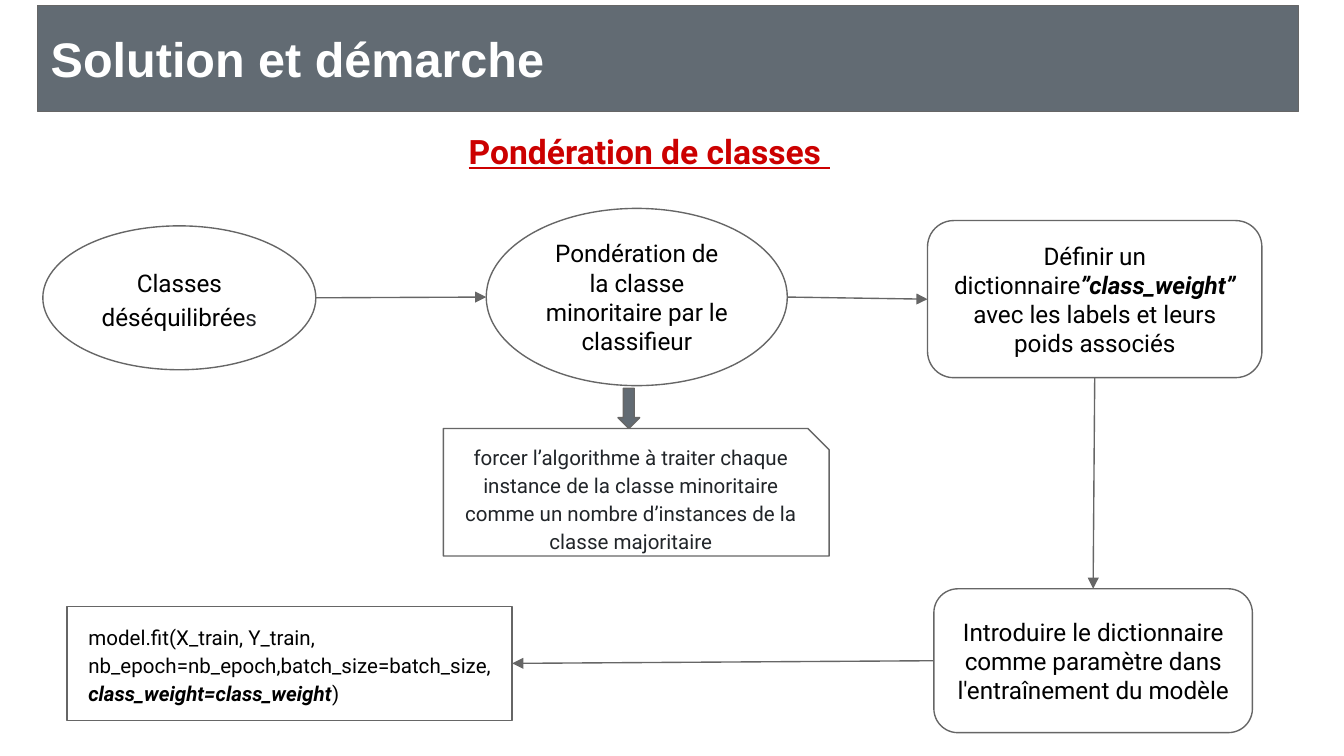
from lxml import etree
from pptx import Presentation
from pptx.dml.color import RGBColor
from pptx.enum.shapes import MSO_CONNECTOR, MSO_SHAPE
from pptx.enum.text import MSO_ANCHOR, PP_ALIGN
from pptx.oxml.ns import qn
from pptx.util import Cm, Pt

STRAIGHT = MSO_CONNECTOR.STRAIGHT
RECT, ROUNDED = MSO_SHAPE.RECTANGLE, MSO_SHAPE.ROUNDED_RECTANGLE
ELLIPSE, SNIPPED = MSO_SHAPE.OVAL, MSO_SHAPE.SNIP_1_RECTANGLE
DOWN_ARROW = MSO_SHAPE.DOWN_ARROW
LEFT, CENTER = PP_ALIGN.LEFT, PP_ALIGN.CENTER
TOP, MIDDLE = MSO_ANCHOR.TOP, MSO_ANCHOR.MIDDLE
TOP_SIDE, LEFT_SIDE, BOTTOM_SIDE, RIGHT_SIDE = range(4)

SLATE, GREY, RED = "626B73", "666666", "CC0000"
WHITE, BLACK, DARK, INK = "FFFFFF", "000000", "212529", "202124"
STRONG = {"bold": True, "italic": True}


def color(value):
    return RGBColor.from_string(value)


def write(shape, paragraphs, size, text_color=BLACK, font="Roboto",
          align=CENTER, anchor=MIDDLE, spacing=1.0, indent=0):
    """Fill the shape with paragraphs, each a list of (text, format values)."""
    frame = shape.text_frame
    frame.word_wrap = True
    frame.vertical_anchor = anchor
    for side in ("left", "top", "right", "bottom"):
        setattr(frame, f"margin_{side}", Cm(0.25))
    for number, runs in enumerate(paragraphs):
        paragraph = frame.add_paragraph() if number else frame.paragraphs[0]
        paragraph.alignment = align
        paragraph.line_spacing = spacing
        if indent:
            paragraph._p.get_or_add_pPr().set("marL", str(Cm(indent)))
        for text, changes in runs:
            run = paragraph.add_run()
            run.text = text
            values = {"name": font, "size": Pt(size), "color": text_color, **changes}
            run.font.color.rgb = color(values.pop("color"))
            for key, value in values.items():
                setattr(run.font, key, value)


def add_box(slide, kind, box, fill=None):
    shape = slide.shapes.add_shape(kind, *map(Cm, box))
    shape.shadow.inherit = False
    if fill:
        shape.fill.solid()
        shape.fill.fore_color.rgb = color(fill)
    else:
        shape.fill.background()
    shape.line.color.rgb = color(GREY)
    shape.line.width = Pt(0.75)
    return shape


def side_middle(shape, side):
    x, y = shape.left + shape.width // 2, shape.top + shape.height // 2
    return {
        TOP_SIDE: (x, shape.top),
        LEFT_SIDE: (shape.left, y),
        BOTTOM_SIDE: (x, shape.top + shape.height),
        RIGHT_SIDE: (shape.left + shape.width, y),
    }[side]


def add_arrow(slide, source, source_side, target, target_side):
    """Join two side middles; ellipses number their sites differently, so stay unglued."""
    arrow = slide.shapes.add_connector(
        STRAIGHT, *side_middle(source, source_side), *side_middle(target, target_side))
    if source.auto_shape_type != ELLIPSE:
        arrow.begin_connect(source, source_side)
    if target.auto_shape_type != ELLIPSE:
        arrow.end_connect(target, target_side)
    arrow.line.color.rgb = color(GREY)
    arrow.line.width = Pt(0.75)
    etree.SubElement(arrow.line._get_or_add_ln(), qn("a:tailEnd"), type="triangle")
    etree.SubElement(arrow._element.spPr, qn("a:effectLst"))


def add_header(slide, box):
    header = add_box(slide, RECT, box, SLATE)
    write(header, [[("Solution et démarche", {"bold": True})]], 26, WHITE, "Arial", LEFT)


def add_subtitle(slide, box):
    subtitle = slide.shapes.add_textbox(*map(Cm, box))
    write(subtitle, [[("Pondération de classes ", {"bold": True, "underline": True})]],
          18, RED, anchor=TOP, spacing=1.15)


def add_flow(slide, box):
    """Draw the steps and their arrows, placed from the box's top left corner."""
    left, top, width, height = box
    right, bottom = left + width, top + height

    classes = add_box(slide, ELLIPSE, (left, top + 0.33, 5.16, 2.72))
    write(classes, [[("Classes déséquilibrée", {}),
                     ("s", {"size": Pt(12), "color": INK})]], 13, spacing=1.15)

    weighting = add_box(slide, ELLIPSE, (left + 8.38, top, 5.69, 3.35))
    write(weighting, [[("Pondération de la classe minoritaire par le classifieur", {})]], 13)

    dictionary = add_box(slide, ROUNDED, (right - 6.32, top + 0.23, 6.32, 2.97))
    write(dictionary, [[("Définir un dictionnaire", {}), ("”class_weight” ", STRONG),
                        ("avec les labels et leurs poids associés", {})]], 13)

    training = add_box(slide, ROUNDED, (right - 6.2, bottom - 2.72, 6.02, 2.72))
    write(training, [[("Introduire le dictionnaire comme paramètre dans "
                       "l'entraînement du modèle", {})]], 13)

    fit_call = add_box(slide, RECT, (left + 0.46, bottom - 2.39, 8.41, 2.16))
    write(fit_call, [
        [("model.fit(X_train, Y_train, nb_epoch=nb_epoch,batch_size=batch_size,", {})],
        [("class_weight=class_weight", STRONG), (")", {})],
    ], 11, align=LEFT, spacing=1.15, indent=0.15)

    explanation = add_box(slide, SNIPPED, (left + 7.57, top + 4.16, 7.29, 2.41))
    write(explanation, [[("forcer l’algorithme à traiter chaque instance de la classe "
                          "minoritaire comme un nombre d’instances de la classe "
                          "majoritaire", {})]], 11, DARK, spacing=1.15)

    add_arrow(slide, classes, RIGHT_SIDE, weighting, LEFT_SIDE)
    add_arrow(slide, weighting, RIGHT_SIDE, dictionary, LEFT_SIDE)
    add_arrow(slide, dictionary, BOTTOM_SIDE, training, TOP_SIDE)
    add_arrow(slide, training, LEFT_SIDE, fit_call, RIGHT_SIDE)
    add_box(slide, DOWN_ARROW, (left + 10.87, top + 3.4, 0.41, 0.76), SLATE)


def main():
    presentation = Presentation()
    presentation.slide_width = Cm(25.4)
    presentation.slide_height = Cm(14.29)
    slide = presentation.slides.add_slide(presentation.slide_layouts[6])
    add_subtitle(slide, (-0.1, 2.11, 24.74, 1.4))
    add_header(slide, (0.71, 0.1, 23.83, 2.01))
    add_flow(slide, (0.81, 3.94, 23.04, 9.91))
    presentation.save("out.pptx")


if __name__ == "__main__":
    main()
